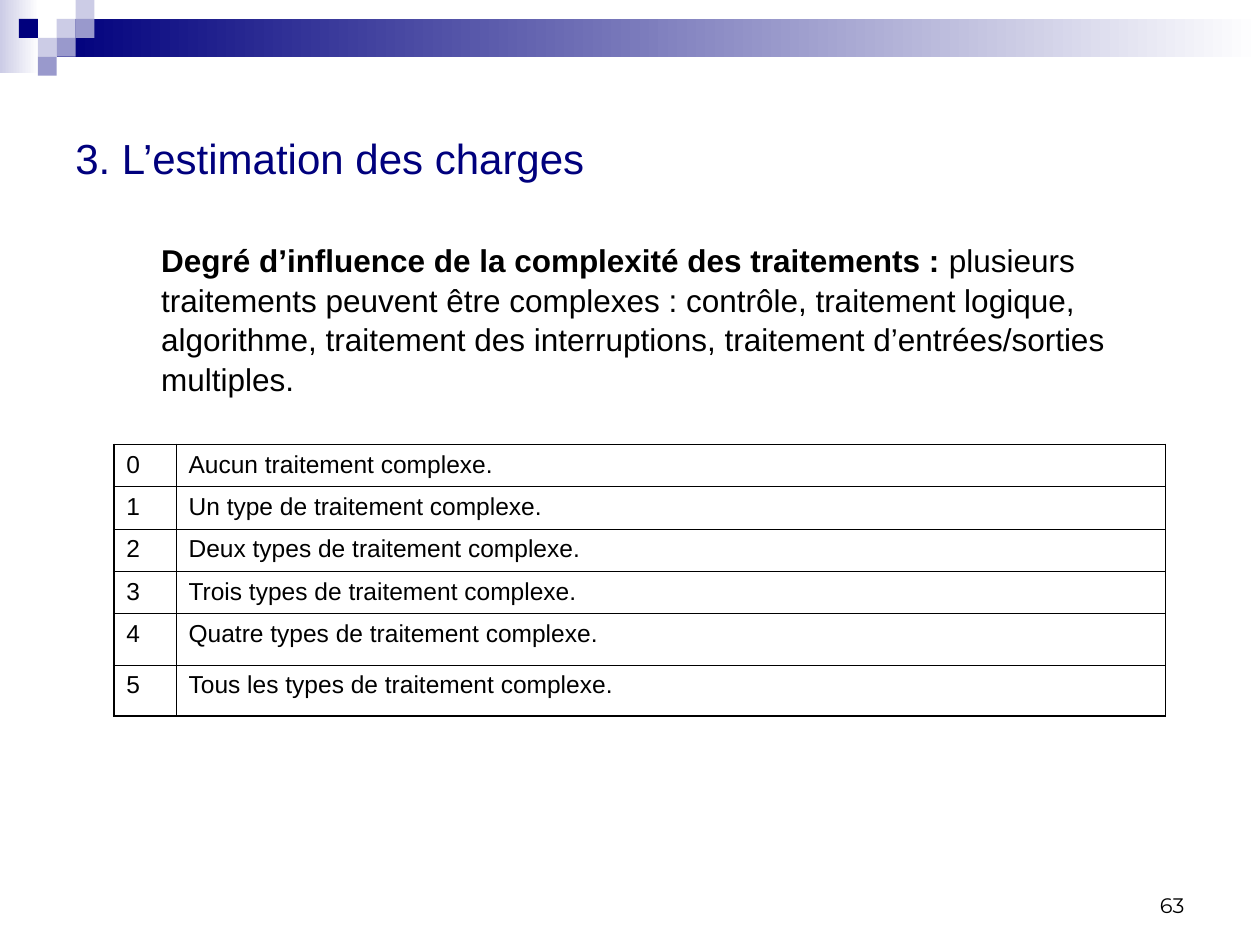
from lxml import etree
from pptx import Presentation
from pptx.dml.color import RGBColor
from pptx.enum.shapes import MSO_SHAPE
from pptx.enum.text import MSO_ANCHOR, PP_ALIGN
from pptx.oxml.ns import qn
from pptx.util import Pt

RECT = MSO_SHAPE.RECTANGLE
TOP, MIDDLE, BOTTOM = MSO_ANCHOR.TOP, MSO_ANCHOR.MIDDLE, MSO_ANCHOR.BOTTOM
LEFT, RIGHT = PP_ALIGN.LEFT, PP_ALIGN.RIGHT
NAVY, LILAC, VIOLET, WHITE, BLACK = "00007D", "CCCCE6", "9999CC", "FFFFFF", "000000"


def rgb(value):
    return RGBColor.from_string(value)


class Deck:
    """Holds the fonts, border widths and current slide."""

    font, number_font = "Arial", "Montserrat"
    outer, inner = 1.08, 0.45

    def __init__(self, slide):
        self.s = slide

    def rect(self, x, y, w, h, *colours):
        sp = self.s.shapes.add_shape(RECT, Pt(x), Pt(y), Pt(w), Pt(h))
        sp.shadow.inherit = False
        sp.line.fill.background()
        if len(colours) == 1:
            sp.fill.solid()
            sp.fill.fore_color.rgb = rgb(colours[0])
        else:
            sp.fill.gradient()
            sp.fill.gradient_angle = 0
            for stop, colour in zip(sp.fill.gradient_stops, colours):
                stop.color.rgb = rgb(colour)

    def style(self, p, size, colour=BLACK, font=None):
        p.font.size = Pt(size)
        p.font.name = font or self.font
        p.font.color.rgb = rgb(colour)

    def text(self, x, y, w, h, runs, size, colour=BLACK, font=None,
             anchor=TOP, align=LEFT, spacing=1.0):
        tf = self.s.shapes.add_textbox(Pt(x), Pt(y), Pt(w), Pt(h)).text_frame
        tf.word_wrap = True
        tf.vertical_anchor = anchor
        p = tf.paragraphs[0]
        p.alignment = align
        p.line_spacing = spacing
        self.style(p, size, colour, font)
        for content, bold in runs:
            r = p.add_run()
            r.text = content
            if bold:
                r.font.bold = True

    def border(self, cell, sides):
        tc_pr = cell._tc.get_or_add_tcPr()
        for i, (side, width) in enumerate(sides):
            ln = etree.Element(qn(f"a:ln{side}"), w=str(Pt(width)))
            fill = etree.SubElement(ln, qn("a:solidFill"))
            etree.SubElement(fill, qn("a:srgbClr"), val=BLACK)
            tc_pr.insert(i, ln)

    def table(self, x, y, widths, heights, rows, size):
        last_row, last_col = len(rows) - 1, len(widths) - 1
        table = self.s.shapes.add_table(
            len(rows), len(widths), Pt(x), Pt(y), Pt(sum(widths)), Pt(sum(heights))).table
        table.first_row = table.horz_banding = False
        for column, width in zip(table.columns, widths):
            column.width = Pt(width)
        for i, (row, height) in enumerate(zip(rows, heights)):
            table.rows[i].height = Pt(height)
            for j, content in enumerate(row):
                cell = table.cell(i, j)
                cell.text = content
                cell.fill.background()
                self.style(cell.text_frame.paragraphs[0], size)
                edges = (("L", j == 0), ("R", j == last_col),
                         ("T", i == 0), ("B", i == last_row))
                self.border(cell, [(side, self.outer if edge else self.inner)
                                   for side, edge in edges])


def main():
    prs = Presentation()
    prs.slide_width, prs.slide_height = Pt(720), Pt(540)
    deck = Deck(prs.slides.add_slide(prs.slide_layouts[6]))

    deck.rect(0, 0, 22.3, 41.8, LILAC, WHITE)
    deck.rect(32.4, 10.8, 687.6, 21.6, NAVY, WHITE)
    tile = 10.8
    tiles = ((3, 1, LILAC), (4, 0, LILAC), (4, 1, VIOLET), (2, 2, LILAC),
             (1, 1, NAVY), (3, 2, VIOLET), (2, 3, VIOLET))
    for column, row, colour in tiles:
        deck.rect(column * tile, row * tile, tile, tile, colour)

    deck.text(516, 492, 168, 36, [("63", False)], 12, font=deck.number_font,
              anchor=BOTTOM, align=RIGHT)
    deck.text(36, 36, 648, 108, [("3. L’estimation des charges", False)], 24, NAVY,
              anchor=MIDDLE)
    deck.text(85, 133, 609, 110, [
        ("Degré d’influence de la complexité des traitements : ", True),
        ("plusieurs traitements peuvent être complexes : contrôle, traitement logique, "
         "algorithme, traitement des interruptions, traitement d’entrées/sorties multiples.",
         False)], 18, spacing=1.05)

    levels = ("Aucun traitement complexe.", "Un type de traitement complexe.",
              "Deux types de traitement complexe.", "Trois types de traitement complexe.",
              "Quatre types de traitement complexe.", "Tous les types de traitement complexe.")
    rows = [(str(i), level) for i, level in enumerate(levels)]
    deck.table(65, 254, (35.6, 565.4), [24.2] * 4 + [29.2] * 2, rows, 14)

    prs.save("out.pptx")


if __name__ == "__main__":
    main()
